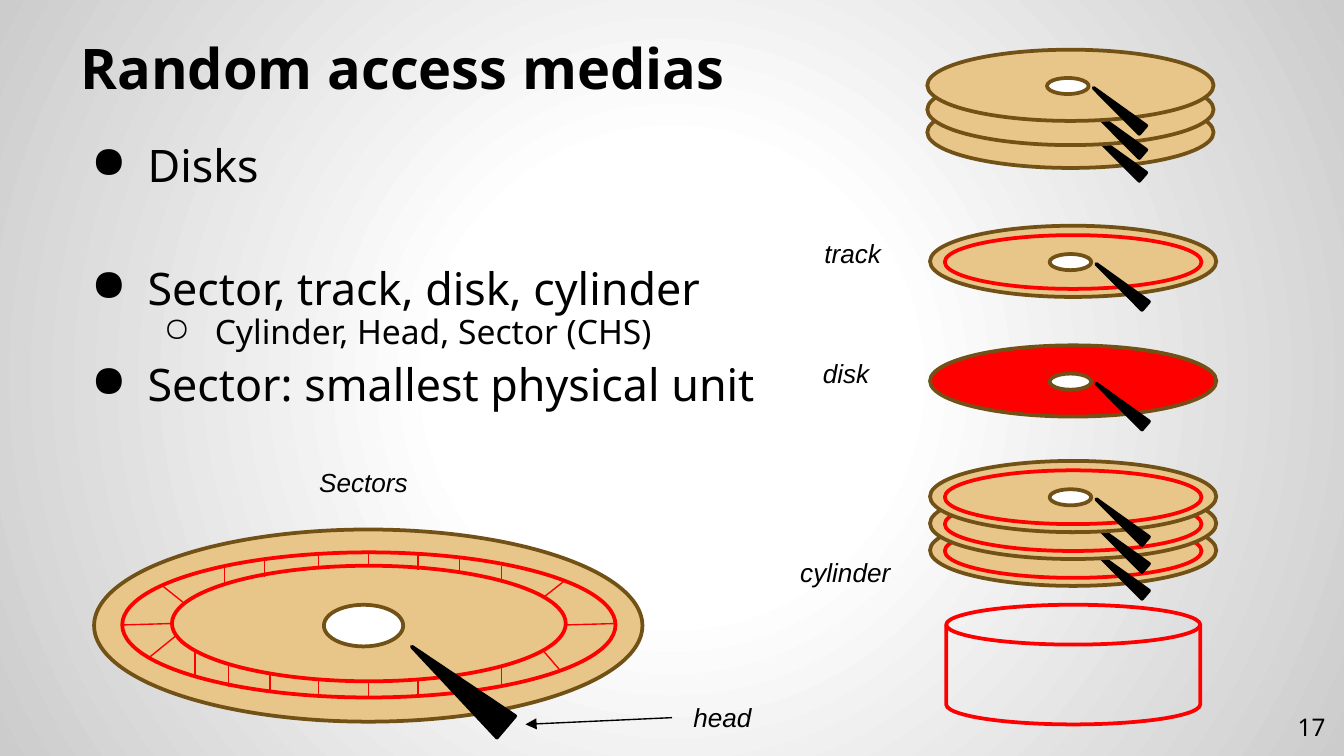
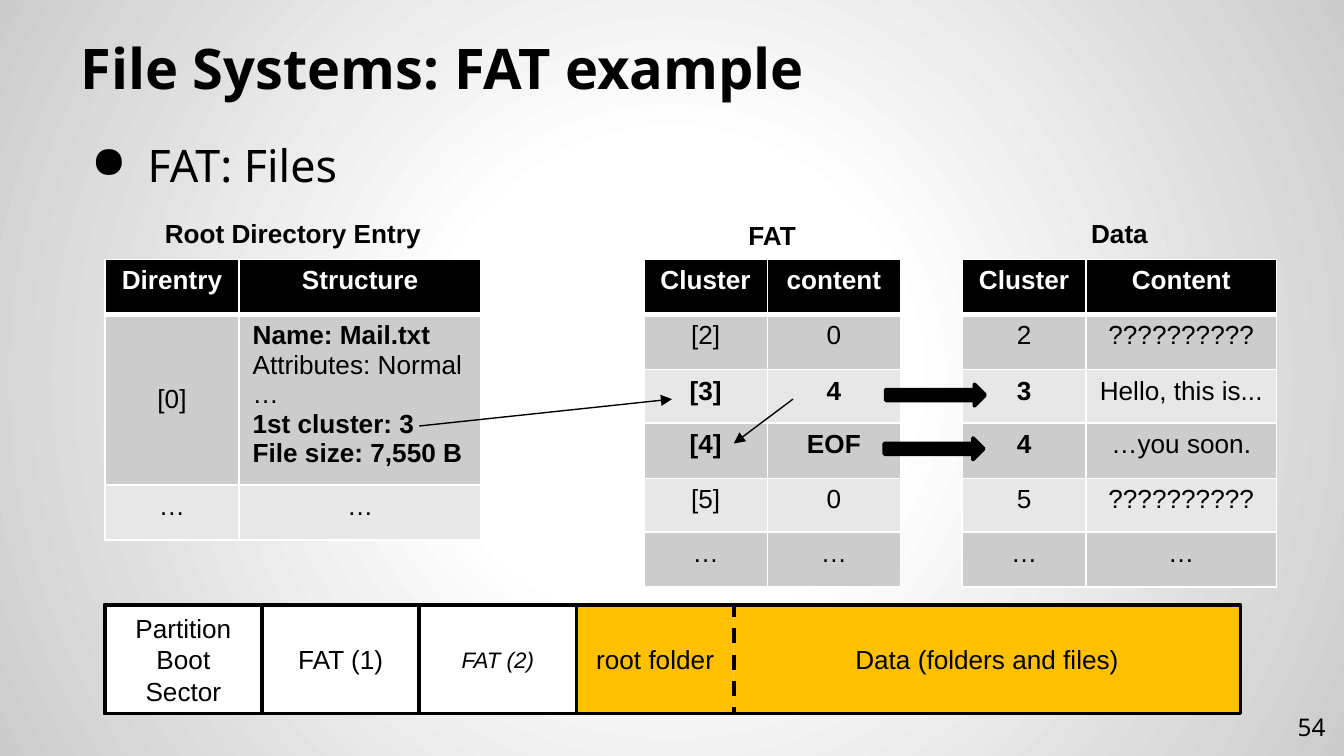
from pptx import Presentation
from pptx.dml.color import RGBColor
from pptx.enum.dml import MSO_LINE
from pptx.enum.shapes import MSO_CONNECTOR, MSO_SHAPE
from pptx.enum.text import MSO_ANCHOR, PP_ALIGN
from pptx.oxml import parse_xml
from pptx.oxml.ns import nsdecls, qn
from pptx.oxml.xmlchemy import OxmlElement
from pptx.util import Emu, Inches, Pt

PX = 9144
BLACK, WHITE, RED = "000000", "FFFFFF", "FF0000"
TAN, BROWN, AMBER = "E8C588", "725116", "FFC000"
BANDS = ("E7E7E7", "CCCCCC")
HEADING_FONT = "Noto Sans"


def px(*lengths):
    """Turn whole px into EMU."""
    return [Emu(length * PX) for length in lengths]


def rgb(value):
    """Turn a hex string into a colour."""
    return RGBColor.from_string(value)


def write(paragraph, text, size=14, font="Arial", color=BLACK, bold=False,
          italic=False, align=PP_ALIGN.CENTER):
    """Put formatted text into a paragraph."""
    paragraph.alignment = align
    run = paragraph.add_run()
    run.text = text
    run.font.size = Pt(size)
    run.font.name = font
    run.font.bold = bold
    run.font.italic = italic
    run.font.color.rgb = rgb(color)


def add_child(parent, tag, **attributes):
    """Append an XML child with attributes."""
    child = OxmlElement(tag)
    for name, value in attributes.items():
        child.set(name, str(value))
    parent.append(child)
    return child


class Deck:
    """Holds the shared style and the current slide."""

    def __init__(self):
        """Set the slide size and the shared background."""
        self.presentation = Presentation()
        self.presentation.slide_width = Inches(10)
        self.presentation.slide_height = Inches(5.625)
        self.slide = None
        master = self.presentation.slide_master
        master.background.fill.solid()
        solid = master.element.find(f"{qn('p:cSld')}/{qn('p:bg')}//{qn('a:solidFill')}")
        stops = "".join(
            f'<a:gs pos="{percent * 1000}"><a:srgbClr val="{color}"/></a:gs>'
            for percent, color in ((0, WHITE), (30, WHITE), (100, "CCCCCC")))
        solid.getparent().replace(solid, parse_xml(
            f'<a:gradFill {nsdecls("a")}><a:gsLst>{stops}</a:gsLst><a:path path="circle">'
            '<a:fillToRect l="50000" t="50000" r="50000" b="50000"/></a:path></a:gradFill>'))

    def start_slide(self, title, number):
        """Add a slide with its title and number."""
        self.slide = self.presentation.slides.add_slide(self.presentation.slide_layouts[6])
        self.text(50, 23, 900, 62, title, anchor=MSO_ANCHOR.BOTTOM, inset=10, size=30,
                  font=HEADING_FONT, bold=True, align=PP_ALIGN.LEFT)
        self.text(936, 519, 60, 43, number, anchor=MSO_ANCHOR.MIDDLE, inset=10, size=13,
                  font=HEADING_FONT, align=PP_ALIGN.RIGHT)

    def text_box(self, left, top, width, height, anchor=MSO_ANCHOR.TOP, inset=5):
        """Add an empty wrapping text box."""
        box = self.slide.shapes.add_textbox(*px(left, top, width, height))
        frame = box.text_frame
        frame.word_wrap = True
        frame.vertical_anchor = anchor
        frame.margin_top, frame.margin_bottom = px(inset, inset)
        return box

    def text(self, left, top, width, height, text, anchor=MSO_ANCHOR.TOP, inset=5, **style):
        """Add a one-paragraph text box."""
        box = self.text_box(left, top, width, height, anchor, inset)
        write(box.text_frame.paragraphs[0], text, **style)
        return box

    def bullets(self, items):
        """Add the body from (level, space before, text) items."""
        frame = self.text_box(50, 97, 900, 441, inset=10).text_frame
        for index, (level, space, text) in enumerate(items):
            paragraph = frame.add_paragraph() if index else frame.paragraphs[0]
            margin, indent, mark, size = ((50, 42, "●", 24), (100, 38, "○", 18))[level]
            properties = paragraph._p.get_or_add_pPr()
            properties.set("marL", str(margin * PX))
            properties.set("indent", str(-indent * PX))
            add_child(add_child(properties, "a:buClr"), "a:srgbClr", val=BLACK)
            add_child(properties, "a:buChar", char=mark)
            paragraph.level = level
            paragraph.line_spacing = 0.9
            paragraph.space_before = Pt(space)
            write(paragraph, text, size=size, font=HEADING_FONT, align=PP_ALIGN.LEFT)

    def shape(self, kind, left, top, width, height, fill=None, line=BLACK, text=None,
              dash=None, rotation=0, **style):
        """Add a preset shape with optional text."""
        shape = self.slide.shapes.add_shape(kind, *px(left, top, width, height))
        shape.shadow.inherit = False
        shape.rotation = rotation
        if fill:
            shape.fill.solid()
            shape.fill.fore_color.rgb = rgb(fill)
        else:
            shape.fill.background()
        if line:
            shape.line.color.rgb = rgb(line)
            shape.line.width = Pt(2)
            shape.line.dash_style = dash
        else:
            shape.line.fill.background()
        if text:
            frame = shape.text_frame
            frame.word_wrap = True
            frame.vertical_anchor = MSO_ANCHOR.MIDDLE
            write(frame.paragraphs[0], text, **style)
        return shape

    def ellipse(self, left, top, width, height, fill=None, line=BROWN):
        """Add an ellipse."""
        self.shape(MSO_SHAPE.OVAL, left, top, width, height, fill, line)

    def head(self, left, top, width, height):
        """Add a tilted disk head."""
        self.shape(MSO_SHAPE.ISOSCELES_TRIANGLE, left, top, width, height, BLACK, rotation=310.4)

    def disk(self, left, top, fill=TAN, hub=True, track=False):
        """Add a small disk with its head."""
        self.ellipse(left, top, 213, 53, fill)
        if hub:
            self.ellipse(left + 89, top + 21, 31, 12, WHITE)
        if track:
            self.ellipse(left + 11, top + 7, 191, 40, line=RED)
        self.head(left + 138, top + 20, 8, 48)

    def line(self, x1, y1, x2, y2, color=BLACK, arrow=False):
        """Add a thin straight line."""
        line = self.slide.shapes.add_connector(MSO_CONNECTOR.STRAIGHT, *px(x1, y1, x2, y2))
        line.line.color.rgb = rgb(color)
        line.line.width = Pt(0.75)
        if arrow:
            add_child(line.line._get_or_add_ln(), "a:tailEnd", type="triangle")
        add_child(line._element.spPr, "a:effectLst")
        return line

    def table(self, left, widths, heights, rows, bold):
        """Add a banded table; bold lists the body lines in bold."""
        table = self.slide.shapes.add_table(
            len(rows), len(widths), *px(left, 193, sum(widths), sum(heights))).table
        table.horz_banding = False
        for column, width in zip(table.columns, px(*widths)):
            column.width = width
        for row, height in zip(table.rows, px(*heights)):
            row.height = height
        for row_index, row in enumerate(rows):
            tall = any("\n" in text for text in row)
            for column_index, text in enumerate(row):
                self.cell(table.cell(row_index, column_index), row_index, text, tall, bold)

    def cell(self, cell, row_index, text, tall, bold):
        """Fill and border one table cell."""
        header = row_index == 0
        lines = text.split("\n")
        single = len(lines) == 1
        properties = cell._tc.get_or_add_tcPr()
        for side in "LRTB":
            thick = (side, row_index) in (("B", 0), ("T", 1))
            border = add_child(properties, f"a:ln{side}", w=Pt(3 if thick else 1))
            add_child(add_child(border, "a:solidFill"), "a:srgbClr", val=WHITE)
        cell.fill.solid()
        cell.fill.fore_color.rgb = rgb(BLACK if header else BANDS[row_index % 2])
        cell.vertical_anchor = MSO_ANCHOR.MIDDLE if tall and single else MSO_ANCHOR.TOP
        for index, line in enumerate(lines):
            paragraph = cell.text_frame.add_paragraph() if index else cell.text_frame.paragraphs[0]
            write(paragraph, line, color=WHITE if header else BLACK,
                  bold=header or line in bold,
                  align=PP_ALIGN.CENTER if single else PP_ALIGN.LEFT)


def build_media_slide(deck):
    """Build the disk geometry slide."""
    deck.start_slide("Random access medias", "17")
    deck.bullets([
        (0, 0, "Disks"),
        (0, 40, "Sector, track, disk, cylinder"),
        (1, 0, "Cylinder, Head, Sector (CHS)"),
        (0, 6, "Sector: smallest physical unit"),
    ])
    for top in (72, 55, 37):
        deck.disk(690, top, hub=top == 37)
    deck.disk(692, 168, track=True)
    deck.disk(692, 257, fill=RED)
    for top in (383, 363, 343):
        deck.disk(692, top, track=True)
    deck.shape(MSO_SHAPE.FLOWCHART_MAGNETIC_DISK, 704, 450, 189, 89, line=RED)

    deck.ellipse(70, 394, 408, 143, TAN)
    deck.ellipse(241, 450, 59, 31, WHITE)
    deck.ellipse(91, 411, 367, 108, line=RED)
    deck.ellipse(128, 421, 293, 86, line=RED)
    upright_ticks = [
        (145, 485, 503), (170, 495, 511), (201, 502, 514), (237, 506, 518),
        (274, 507, 519), (311, 506, 518), (342, 502, 514), (373, 497, 510),
        (167, 422, 435), (197, 417, 429), (237, 411, 423), (274, 411, 421),
        (311, 412, 424), (342, 416, 427), (373, 421, 432),
    ]
    slanted_ticks = [
        (404, 484, 417, 499), (131, 473, 110, 490), (91, 465, 127, 464),
        (421, 465, 457, 464), (136, 448, 121, 436), (419, 433, 405, 444),
    ]
    for x, top, bottom in upright_ticks:
        deck.line(x, top, x, bottom, RED)
    for tick in slanted_ticks:
        deck.line(*tick, RED)
    deck.head(331, 465, 21, 92)

    for left, top, width, label in (
            (597, 172, 75, "track"), (592, 261, 75, "disk"),
            (577, 409, 104, "cylinder"), (184, 342, 173, "Sectors")):
        deck.text(left, top, width, 34, label, italic=True)
    head_label = deck.text(500, 517, 75, 34, "head", italic=True)
    deck.line(500, 534, 391, 539, arrow=True).begin_connect(head_label, 1)


def build_fat_slide(deck):
    """Build the FAT example slide."""
    deck.start_slide("File Systems: FAT example", "54")
    deck.bullets([(0, 0, "FAT: Files")])

    left, top, width, height = 78, 450, 117, 81
    deck.shape(MSO_SHAPE.RECTANGLE, left + 4 * width, top, 377, height, AMBER, None,
               "Data (folders and files)")
    parts = [
        ("Partition Boot Sector", WHITE, {}),
        ("FAT (1)", WHITE, {}),
        ("FAT (2)", WHITE, {"size": 12, "italic": True}),
        ("root folder", AMBER, {"dash": MSO_LINE.DASH}),
    ]
    for index, (label, fill, style) in reversed(list(enumerate(parts))):
        deck.shape(MSO_SHAPE.RECTANGLE, left + index * width, top, width, height, fill,
                   text=label, **style)
    deck.shape(MSO_SHAPE.RECTANGLE, left, top, 845, height)

    for left, top, width, heading in (
            (78, 157, 280, "Root Directory Entry"), (479, 158, 191, "FAT"),
            (716, 157, 234, "Data")):
        deck.text(left, top, width, 34, heading, bold=True)
    entry = ["Name: Mail.txt", "Attributes: Normal", "…", "1st cluster: 3", "File size: 7,550 B"]
    deck.table(78, (100, 180), (41, 126, 41), [
        ("Direntry", "Structure"),
        ("[0]", "\n".join(entry)),
        ("…", "…"),
    ], bold=(entry[0], entry[3], entry[4]))
    deck.table(479, (92, 99), [Emu(1) * 41] + [41, 40] * 2 + [41], [
        ("Cluster", "content"),
        ("[2]", "0"),
        ("[3]", "4"),
        ("[4]", "EOF"),
        ("[5]", "0"),
        ("…", "…"),
    ], bold=("[3]", "4", "[4]", "EOF"))
    deck.table(716, (92, 142), [41] + [41, 40] * 2 + [41], [
        ("Cluster", "Content"),
        ("2", "??????????"),
        ("3", "Hello, this is..."),
        ("4", "…you soon."),
        ("5", "??????????"),
        ("…", "…"),
    ], bold=("3", "4"))

    deck.line(590, 297, 546, 330, arrow=True)
    deck.line(312, 317, 500, 297, arrow=True)
    for left, top in ((659, 286), (658, 326)):
        deck.shape(MSO_SHAPE.RIGHT_ARROW, left, top, 74, 16, BLACK)


def main():
    """Build and save the deck."""
    deck = Deck()
    build_media_slide(deck)
    build_fat_slide(deck)
    deck.presentation.save("out.pptx")


if __name__ == "__main__":
    main()
